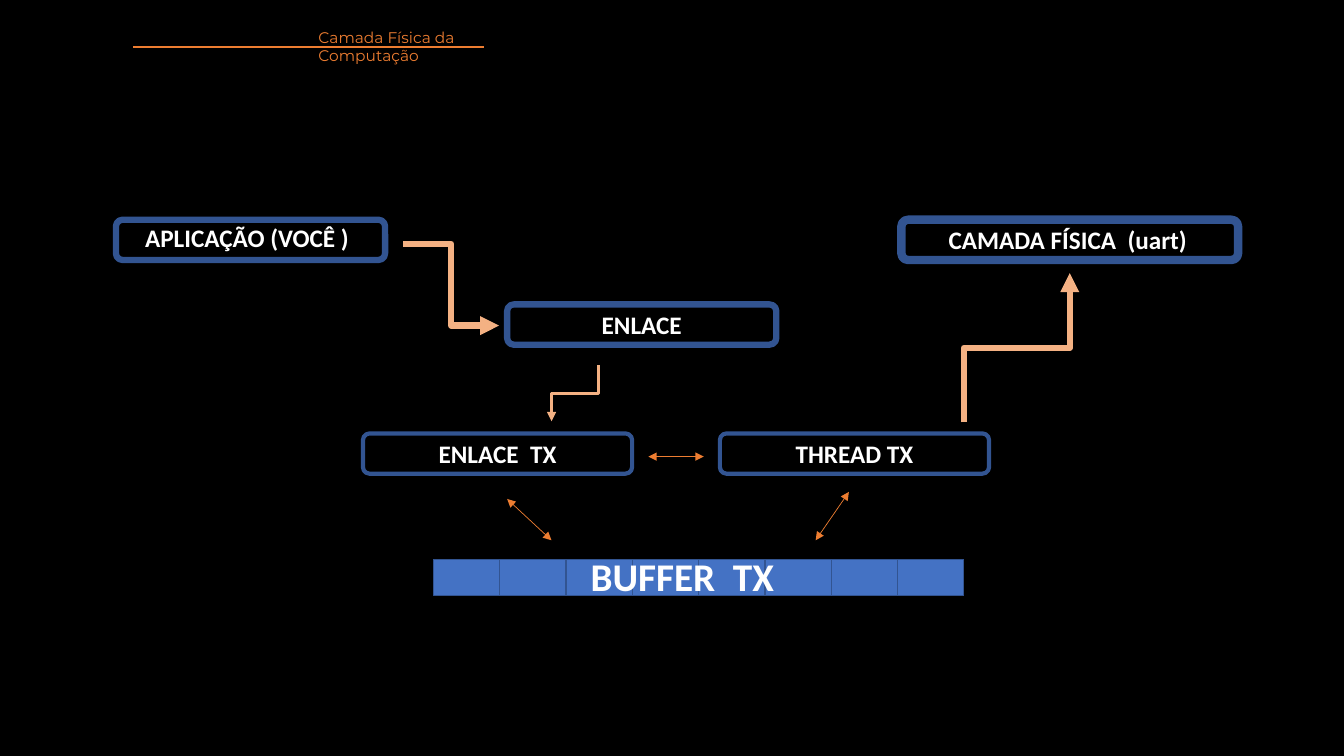
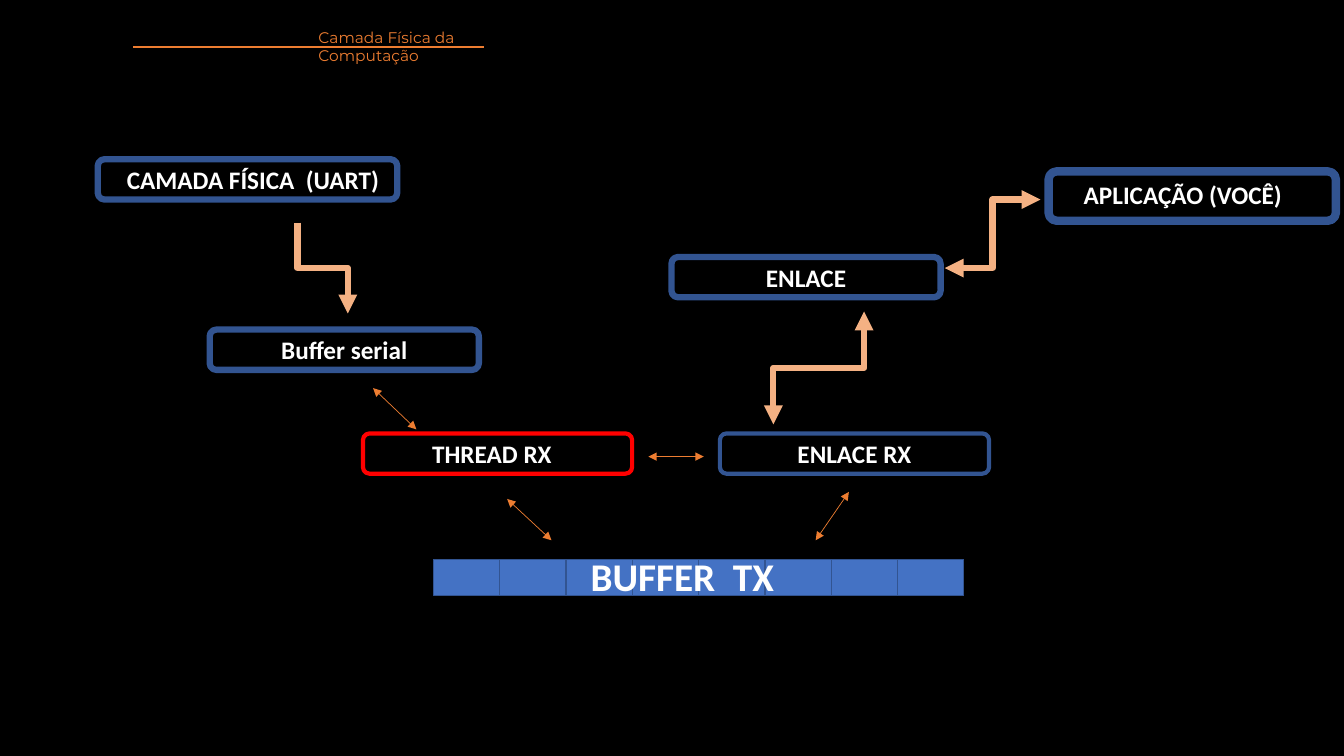
from lxml.etree import SubElement
from pptx import Presentation
from pptx.dml.color import RGBColor
from pptx.enum.shapes import MSO_CONNECTOR as Connector, MSO_SHAPE as Shape
from pptx.enum.text import MSO_ANCHOR as Anchor, PP_ALIGN as Align
from pptx.oxml.ns import qn
from pptx.util import Inches, Pt

BLACK = RGBColor(0x00, 0x00, 0x00)
WHITE = RGBColor(0xFF, 0xFF, 0xFF)
ORANGE = RGBColor(0xED, 0x7D, 0x31)
PEACH = RGBColor(0xF4, 0xB1, 0x83)
BLUE = RGBColor(0x44, 0x72, 0xC4)
DARK_BLUE = RGBColor(0x32, 0x54, 0x91)
RED = RGBColor(0xFF, 0x00, 0x00)

BOX_WIDTH, BOX_HEIGHT = 2.67, 0.4
LEFT_BOX, RIGHT_BOX, LOWER_ROW = 3.6, 7.14, 4.3


class Deck:
    """Holds the style and the current slide."""

    def __init__(self):
        self.presentation = Presentation()
        self.presentation.slide_width = Inches(13.33)
        self.presentation.slide_height = Inches(7.5)
        background = self.presentation.slide_master.background.fill
        background.solid()
        background.fore_color.rgb = BLACK
        self.slide = None

    def new_slide(self):
        layout = self.presentation.slide_layouts[6]
        self.slide = self.presentation.slides.add_slide(layout)
        self.text("Camada Física da Computação", 3.06, 0.23, 2.39, 0.47,
                  size=11, font="Montserrat", color=ORANGE, bold=False)
        self.line((1.32, 0.47), (4.8, 0.47), 1.5)

    def set_text(self, shape, text, size=18, font="Calibri", color=WHITE, bold=True):
        shape.text_frame.word_wrap = True
        paragraph = shape.text_frame.paragraphs[0]
        paragraph.text = text
        paragraph.font.size = Pt(size)
        paragraph.font.name = font
        paragraph.font.bold = bold
        paragraph.font.color.rgb = color
        return paragraph

    def text(self, text, left, top, width, height, **style):
        shape = self.slide.shapes.add_textbox(
            Inches(left), Inches(top), Inches(width), Inches(height))
        self.set_text(shape, text, **style)

    def rectangle(self, kind, left, top, width, height, color, weight, fill=None):
        shape = self.slide.shapes.add_shape(
            kind, Inches(left), Inches(top), Inches(width), Inches(height))
        shape.shadow.inherit = False
        if fill is None:
            shape.fill.background()
        else:
            shape.fill.solid()
            shape.fill.fore_color.rgb = fill
        shape.line.color.rgb = color
        shape.line.width = Pt(weight)
        return shape

    def box(self, left, top, text=None, weight=4.5, color=DARK_BLUE,
            width=BOX_WIDTH, height=BOX_HEIGHT, margin_right=0.1):
        shape = self.rectangle(Shape.ROUNDED_RECTANGLE, left, top, width, height,
                               color, weight)
        if text:
            self.set_text(shape, text).alignment = Align.CENTER
            shape.text_frame.vertical_anchor = Anchor.MIDDLE
            shape.text_frame.margin_right = Inches(margin_right)

    def line(self, start, end, weight, color=ORANGE, arrows=(), kind=Connector.STRAIGHT):
        connector = self.slide.shapes.add_connector(
            kind, *(Inches(value) for value in (*start, *end)))
        connector.line.color.rgb = color
        connector.line.width = Pt(weight)
        properties = connector.element.spPr
        for arrow in arrows:
            SubElement(properties.find(qn("a:ln")), qn(arrow), type="triangle")
        SubElement(properties, qn("a:effectLst"))
        return connector

    def double_arrow(self, start, end):
        self.line(start, end, 0.5, arrows=("a:headEnd", "a:tailEnd"))

    def elbow(self, start, end, weight=4.5, vertical=False, double=False):
        """Bent arrow; a vertical one is laid flat about its centre, then turned."""
        if vertical:
            (x1, y1), (x2, y2) = start, end
            middle_x, middle_y = (x1 + x2) / 2, (y1 + y2) / 2
            half_width, half_height = (x2 - x1) / 2, (y2 - y1) / 2
            start = middle_x - half_height, middle_y + half_width
            end = middle_x + half_height, middle_y - half_width
        arrows = ("a:headEnd", "a:tailEnd") if double else ("a:tailEnd",)
        connector = self.line(start, end, weight, PEACH, arrows, Connector.ELBOW)
        if vertical:
            connector.element.spPr.find(qn("a:xfrm")).set("rot", str(90 * 60000))

    def buffer(self, text, cells=8, left=4.3, right=9.56, top=5.55):
        pitch = (right - left) / cells
        for index in range(cells):
            self.rectangle(Shape.RECTANGLE, left + index * pitch, top, pitch, 0.36,
                           DARK_BLUE, 1, BLUE)
        self.text(text, 5.76, 5.43, 3.54, 0.57, size=28)

    def buffer_arrows(self):
        self.double_arrow((5.03, 4.95), (5.47, 5.36))
        self.double_arrow((8.42, 4.88), (8.09, 5.36))
        self.double_arrow((6.98, 4.53), (6.43, 4.53))


def transmission(deck):
    deck.new_slide()
    deck.buffer("BUFFER  TX")

    # Layers
    deck.text("APLICAÇÃO (VOCÊ )", 1.34, 2.16, 3.14, 0.4)
    deck.box(1.15, 2.18)
    deck.box(5.03, 3.02, "ENLACE")
    deck.box(LEFT_BOX, LOWER_ROW, "ENLACE  TX", 3)
    deck.box(RIGHT_BOX, LOWER_ROW, "THREAD TX", 3)
    deck.text("CAMADA FÍSICA  (uart)", 9.31, 2.18, 3.14, 0.4)
    deck.box(8.94, 2.18, weight=6, width=3.34)

    # Flow
    deck.elbow((4, 2.42), (4.95, 3.23))
    deck.elbow((5.94, 3.62), (5.47, 4.18), 2.25, vertical=True)
    deck.elbow((9.56, 4.19), (10.61, 2.71), vertical=True)
    deck.buffer_arrows()


def reception(deck):
    deck.new_slide()
    deck.buffer("BUFFER  TX")

    # Layers
    deck.text("CAMADA FÍSICA  (UART)", 1.16, 1.58, 3.14, 0.4)
    deck.box(0.97, 1.58, width=2.97)
    deck.box(2.08, 3.27, "Buffer serial")
    deck.box(LEFT_BOX, LOWER_ROW, "THREAD RX", 3, RED, margin_right=0.21)
    deck.box(RIGHT_BOX, LOWER_ROW, "ENLACE RX", 3)
    deck.box(6.66, 2.55, "ENLACE")
    deck.text("APLICAÇÃO (VOCÊ)", 10.65, 1.73, 2.68, 0.4)
    deck.box(10.4, 1.7, weight=6, width=2.85, height=0.49)

    # Flow
    deck.elbow((2.95, 2.21), (3.45, 3.11), vertical=True)
    deck.double_arrow((3.7, 3.85), (4.13, 4.26))
    deck.buffer_arrows()
    deck.elbow((8.57, 3.09), (7.67, 4.21), vertical=True, double=True)
    deck.elbow((10.32, 1.98), (9.37, 2.66), double=True)


def main():
    deck = Deck()
    transmission(deck)
    reception(deck)
    deck.presentation.save("out.pptx")


if __name__ == "__main__":
    main()
